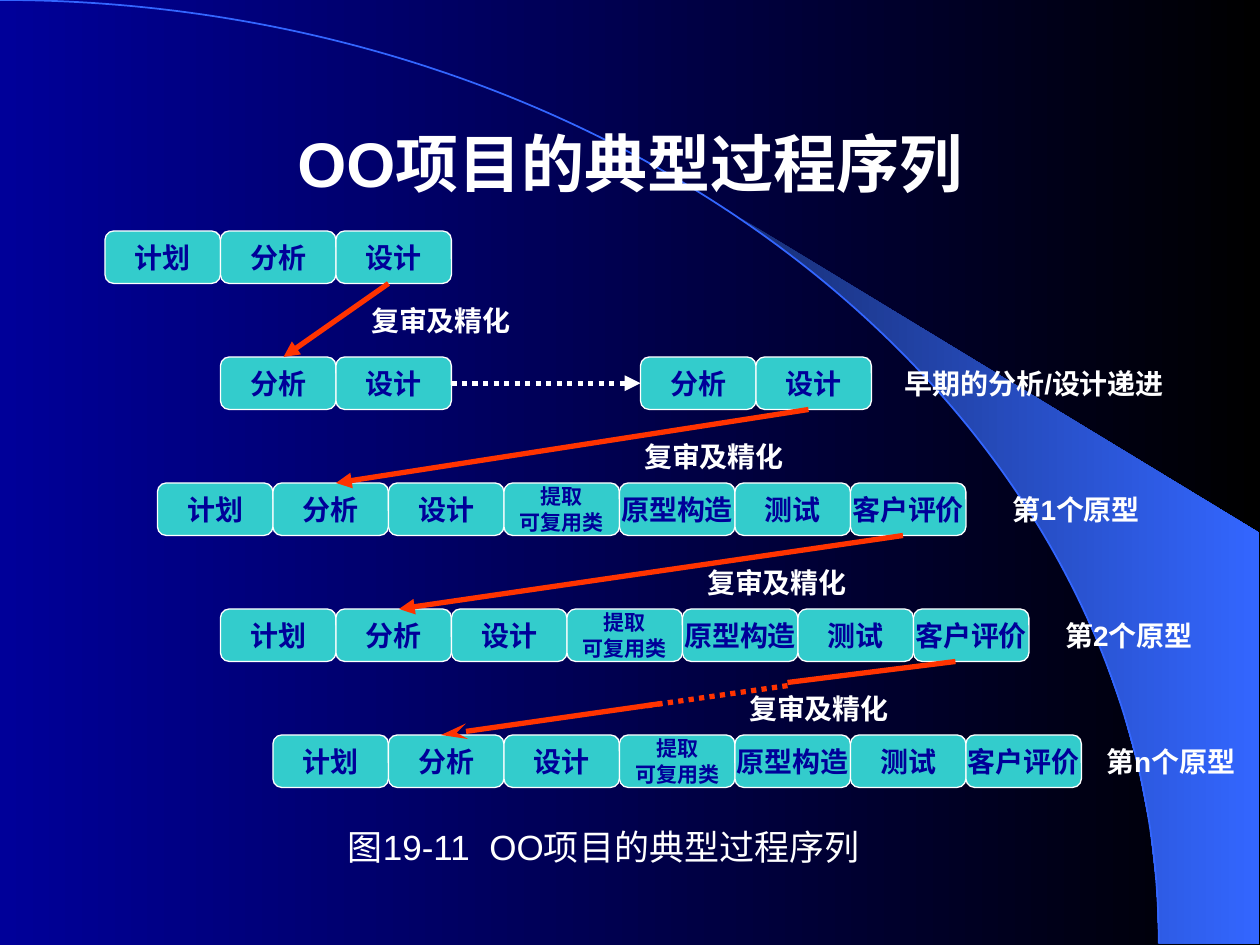
import math

from lxml import etree
from pptx import Presentation
from pptx.dml.color import RGBColor
from pptx.enum.dml import MSO_LINE
from pptx.enum.shapes import MSO_CONNECTOR, MSO_SHAPE
from pptx.enum.text import MSO_ANCHOR, PP_ALIGN
from pptx.oxml.ns import qn
from pptx.util import Cm, Pt

STRAIGHT = MSO_CONNECTOR.STRAIGHT
TILE = MSO_SHAPE.FLOWCHART_ALTERNATE_PROCESS
DOTTED = MSO_LINE.ROUND_DOT
CENTER = PP_ALIGN.CENTER
MIDDLE, TOP = MSO_ANCHOR.MIDDLE, MSO_ANCHOR.TOP

FONT = "Arial"
WHITE, NAVY, BLACK = "FFFFFF", "000099", "000000"
TEAL, RED, BLUE, DARK_BLUE = "33CCCC", "FF3300", "3366FF", "182F76"
TILE_WIDTH, ROW_HEIGHT = 11, 5
ARC_WIDTH, ARC_HEIGHT = 23.36, 19.02
BEZIER_RATIO = 0.55

REUSE = "提取\n可复用类"
PROTOTYPE = ["计划", "分析", "设计", REUSE, "原型构造", "测试", "客户评价"]
TILE_RUNS = [
    (10, 22, ["计划", "分析", "设计"]),
    (21, 34, ["分析", "设计"]),
    (61, 34, ["分析", "设计"]),
    (15, 46, PROTOTYPE),
    (21, 58, PROTOTYPE),
    (26, 70, PROTOTYPE),
]
ROW_LABELS = [
    (84, 34, 29, "早期的分析/设计递进"),
    (93, 46, 19, "第1个原型"),
    (98, 58, 19, "第2个原型"),
    (103, 70, 17, "第n个原型"),
]
REVIEW_LABELS = [(33, 28), (59, 41), (65, 53), (69, 65)]
LINES = [
    ((43, 36.5), (61, 36.5), WHITE, "triangle", True),
    ((37, 27), (27, 34), RED, "triangle", False),
    ((77, 39), (32, 46), RED, "triangle", False),
    ((86, 51), (38, 58), RED, "triangle", False),
    ((63, 67), (42, 70), RED, "stealth", False),
    ((75, 65.3), (61, 67.3), RED, None, True),
    ((75, 65), (91, 63), RED, None, False),
]


def rgb(value):
    return RGBColor.from_string(value)


def grid(units):
    return Cm(units * 2.54 / 12)


def fill_gradient(fill, first, last):
    fill.gradient()
    fill.gradient_angle = 0
    for stop, color in zip(fill.gradient_stops, (first, last)):
        stop.color.rgb = rgb(color)


def write_text(shape, text, size, color, bold=True, wrap=False, anchor=MIDDLE):
    frame = shape.text_frame
    frame.text = text
    frame.word_wrap = wrap
    frame.vertical_anchor = anchor
    for para in frame.paragraphs:
        para.alignment = CENTER
        for span in para.runs:
            span.font.name = FONT
            span.font.size = Pt(size)
            span.font.bold = bold
            span.font.color.rgb = rgb(color)


def add_label(page, left, top, width, text, height=ROW_HEIGHT, size=16, **style):
    box = page.shapes.add_textbox(grid(left), grid(top), grid(width), grid(height))
    write_text(box, text, size, WHITE, **style)


def add_tiles(page, left, top, names):
    for index, name in enumerate(names):
        tile = page.shapes.add_shape(
            TILE, grid(left + index * TILE_WIDTH), grid(top), grid(TILE_WIDTH), grid(ROW_HEIGHT)
        )
        tile.shadow.inherit = False
        tile.fill.solid()
        tile.fill.fore_color.rgb = rgb(TEAL)
        tile.line.color.rgb = rgb(WHITE)
        tile.line.width = Pt(0.75)
        write_text(tile, name, 12 if name == REUSE else 16, NAVY)


def add_line(page, start, end, color, head, dotted):
    line = page.shapes.add_connector(STRAIGHT, *map(grid, start + end))
    line.line.color.rgb = rgb(color)
    line.line.width = Pt(3)
    if dotted:
        line.line.dash_style = DOTTED
    if head:
        tail = etree.SubElement(line.line._get_or_add_ln(), qn("a:tailEnd"), type=head)
        if head == "stealth":
            tail.set("len", "lg")
    etree.SubElement(line._element.spPr, qn("a:effectLst"))


def add_outline(page, points, close):
    builder = page.shapes.build_freeform(*points[0])
    builder.add_line_segments(points[1:], close=close)
    outline = builder.convert_to_shape()
    outline.shadow.inherit = False
    return outline


def add_beam(page):
    angles = [math.radians(39.8 + 50.2 * step / 14) for step in range(15)]
    edge = [
        (Cm(ARC_WIDTH * math.sin(angle)), Cm(ARC_HEIGHT * (1 - math.cos(angle))))
        for angle in angles
    ]
    corners = [(Cm(25.38), Cm(ARC_HEIGHT)), (Cm(25.38), Cm(10.74))]
    beam = add_outline(page, edge + corners, True)
    fill_gradient(beam.fill, DARK_BLUE, BLUE)
    beam.line.fill.background()


def add_arc(page):
    width, height = Cm(ARC_WIDTH), Cm(ARC_HEIGHT)
    arc = add_outline(page, [(0, 0), (width, height)], False)
    segment = next(arc._element.iter(qn("a:lnTo")))
    curve = etree.Element(qn("a:cubicBezTo"))
    controls = [
        (int(width * BEZIER_RATIO), 0),
        (width, int(height * (1 - BEZIER_RATIO))),
        (width, height),
    ]
    for x, y in controls:
        etree.SubElement(curve, qn("a:pt"), x=str(int(x)), y=str(int(y)))
    segment.getparent().replace(segment, curve)
    arc.fill.background()
    arc.line.color.rgb = rgb(BLUE)
    arc.line.width = Pt(1)


def main():
    deck = Presentation()
    deck.slide_width, deck.slide_height = Cm(25.4), Cm(19.05)
    page = deck.slides.add_slide(deck.slide_layouts[6])
    fill_gradient(page.background.fill, NAVY, BLACK)
    add_beam(page)
    add_arc(page)
    add_label(page, 9, 8, 102, "OO项目的典型过程序列", height=15, size=36, wrap=True)
    for tile_run in TILE_RUNS:
        add_tiles(page, *tile_run)
    for row_label in ROW_LABELS:
        add_label(page, *row_label)
    for line in LINES:
        add_line(page, *line)
    for left, top in REVIEW_LABELS:
        add_label(page, left, top, 18, "复审及精化")
    add_label(page, 21, 78, 73, "图19-11  OO项目的典型过程序列",
              size=20, bold=False, wrap=True, anchor=TOP)
    deck.save("out.pptx")


if __name__ == "__main__":
    main()
